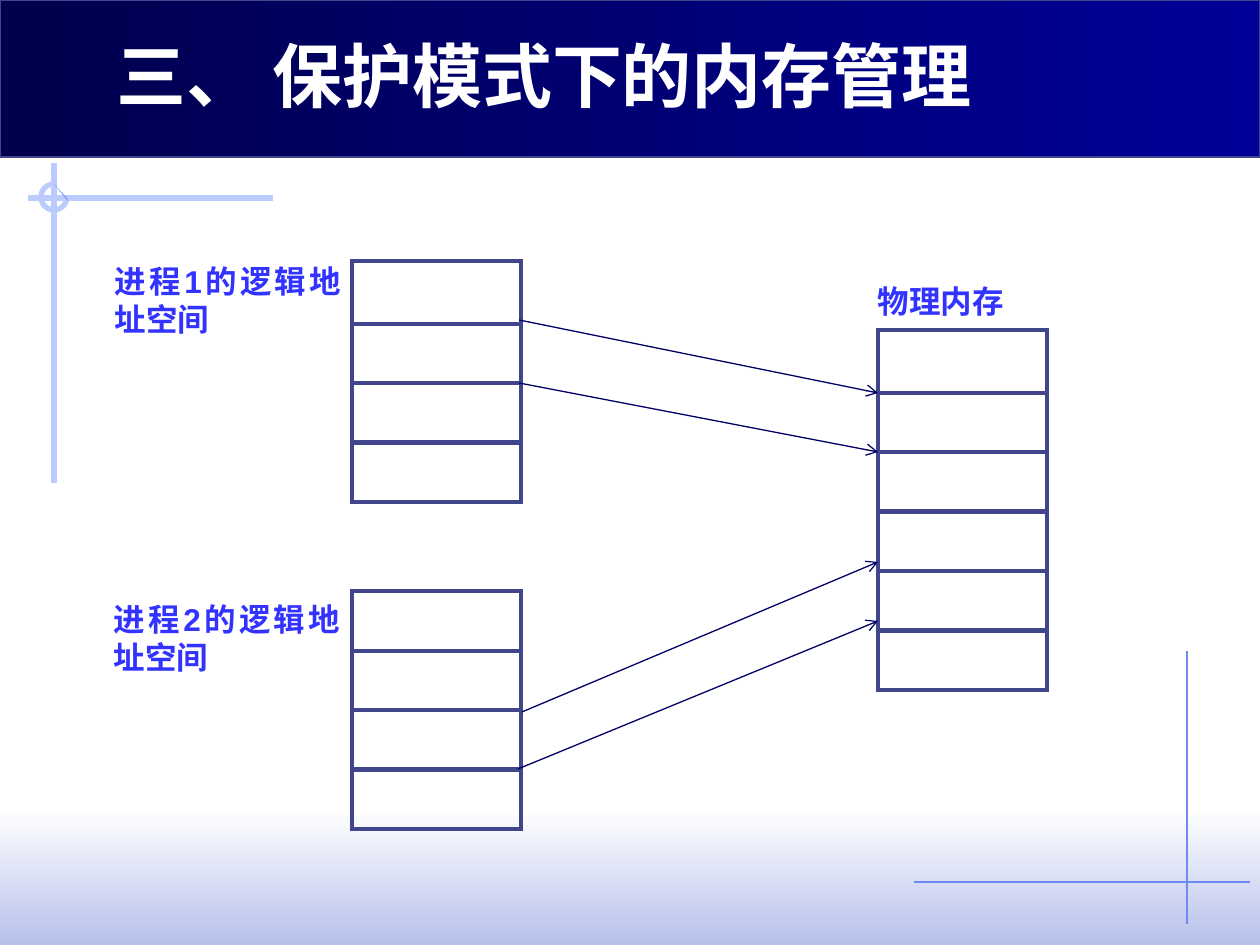
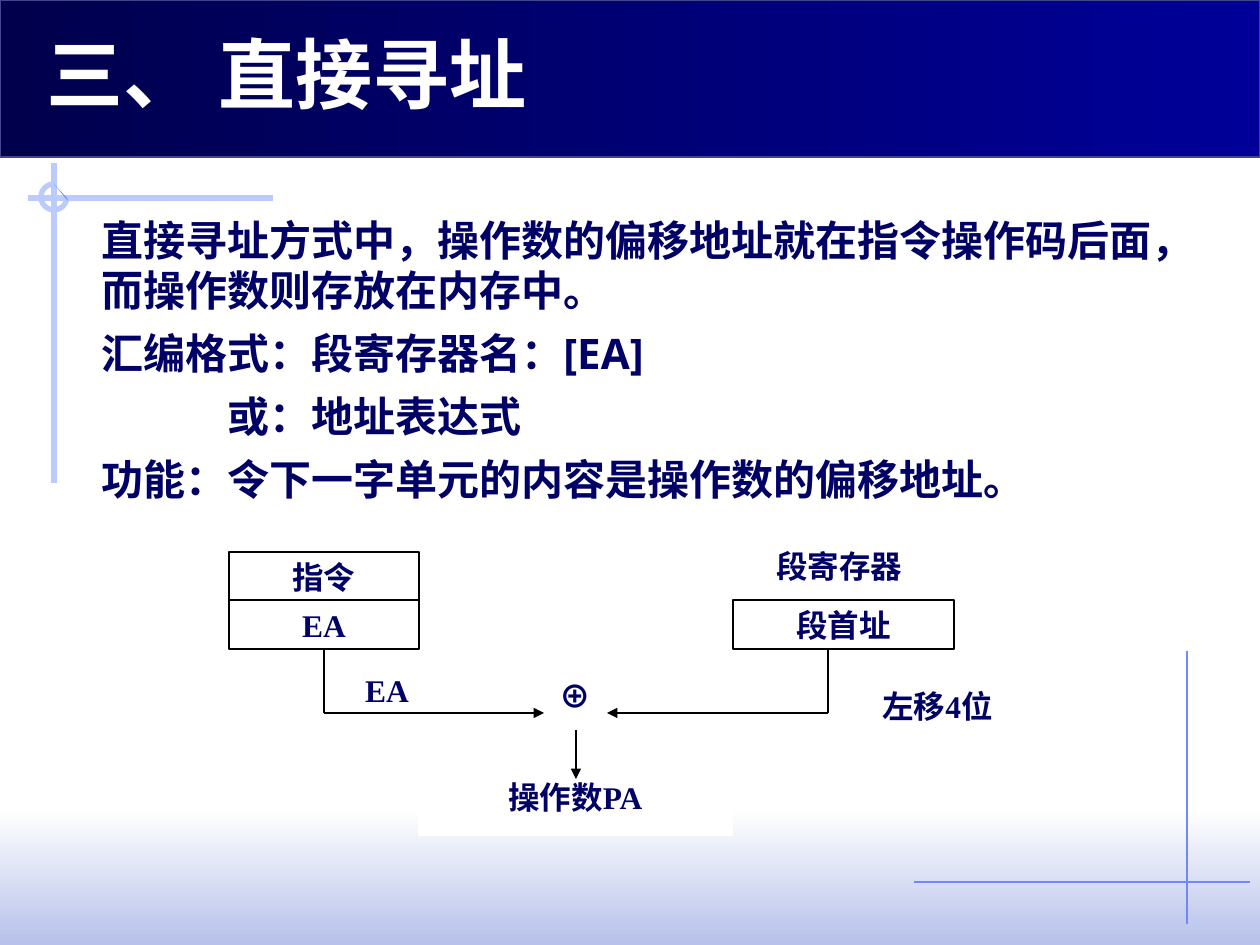
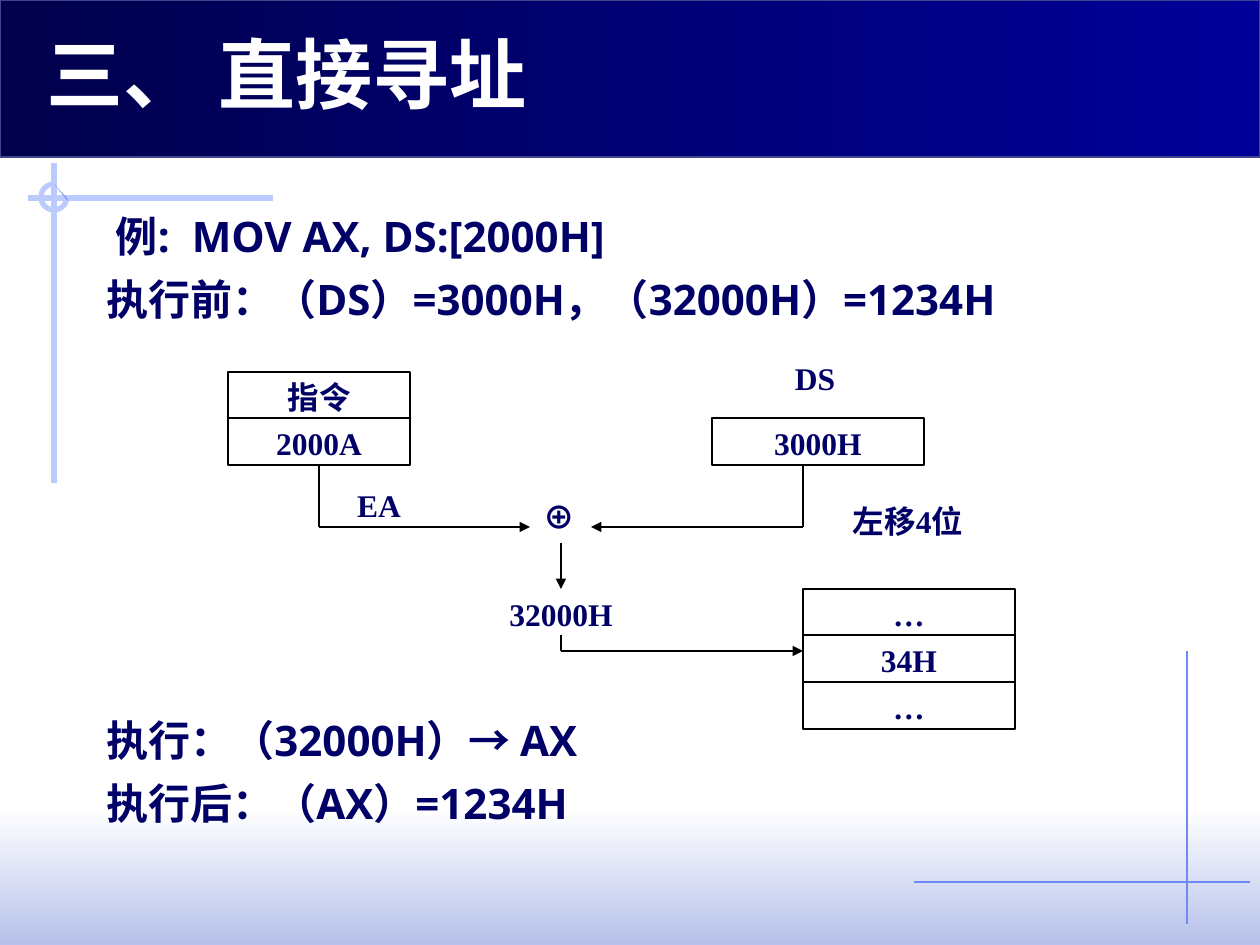
from lxml.etree import SubElement
from pptx import Presentation
from pptx.dml.color import RGBColor
from pptx.enum.shapes import MSO_CONNECTOR, MSO_SHAPE
from pptx.enum.text import MSO_ANCHOR, MSO_AUTO_SIZE, PP_ALIGN
from pptx.oxml.ns import qn
from pptx.util import Pt

PX = 7257  # EMU in one px, 126 px to the inch
WHITE = RGBColor(0xFF, 0xFF, 0xFF)
BLACK = RGBColor(0x00, 0x00, 0x00)
NAVY = RGBColor(0x00, 0x00, 0x66)
DARK = RGBColor(0x00, 0x00, 0x4D)
ROYAL = RGBColor(0x00, 0x00, 0x99)
BLUE = RGBColor(0x33, 0x33, 0xFF)
SLATE = RGBColor(0x40, 0x45, 0x8C)
SKY = RGBColor(0x6F, 0x89, 0xF7)
PALE = RGBColor(0xBB, 0xCB, 0xFD)
MIST = RGBColor(0xB7, 0xC1, 0xEB)
SERIF, SANS, ARIAL = "Times New Roman", "Noto Sans", "Arial"
HEAD, HAN = "Noto Sans CJK JP", "Noto Sans CJK SC"


def write(para, text, size, font, color, pitch, align=PP_ALIGN.LEFT):
    """Add one bold run; pitch is the line height in px."""
    para.alignment = align
    para.line_spacing = Pt(round(pitch * 72 / 126, 1))
    run = para.add_run()
    run.text = text
    run.font.size, run.font.bold, run.font.name = Pt(size), True, font
    run.font.color.rgb = color
    east = HEAD if font == HEAD else HAN
    SubElement(run.font._element, qn("a:ea"), typeface=east)


def draw(shapes, ends, color, width, head=None):
    """Add a straight line, with an arrowhead if one is named."""
    link = shapes.add_connector(MSO_CONNECTOR.STRAIGHT, *(n * PX for n in ends))
    link.line.color.rgb, link.line.width = color, Pt(width)
    props = link._element.spPr
    if head:
        SubElement(props.find(qn("a:ln")), qn("a:tailEnd"), type=head)
    SubElement(props, qn("a:effectLst"))
    return link


deck = Presentation()
deck.slide_width, deck.slide_height = 1260 * PX, 945 * PX

# Slides and titles: text, size, line height, box
titles = [
    ("三、 保护模式下的内存管理", 40, 84, (104, 26, 1002, 97)),
    ("三、 直接寻址", 44, 78, (34, 35, 934, 91)),
    ("三、 直接寻址", 44, 78, (34, 35, 934, 91)),
]
slides = []
for text, size, pitch, box in titles:
    slide = deck.slides.add_slide(deck.slide_layouts[5])
    title = slide.shapes.title
    title.left, title.top, title.width, title.height = (n * PX for n in box)
    frame = title.text_frame
    frame.auto_size = MSO_AUTO_SIZE.NONE
    frame.vertical_anchor = MSO_ANCHOR.TOP
    write(frame.paragraphs[0], text, size, HEAD, WHITE, pitch)
    slides.append(slide)

# Shared decoration, drawn once and moved to the master
shapes = slides[0].shapes
bands = [
    ((0, 809, 1260, 136), WHITE, MIST, 270, None),
    ((0, 0, 1260, 157), DARK, ROYAL, 0, SLATE),
]
for box, start, stop, angle, edge in bands:
    band = shapes.add_shape(MSO_SHAPE.RECTANGLE, *(n * PX for n in box))
    band.shadow.inherit = False
    band.fill.gradient()
    band.fill.gradient_angle = angle
    for mark, color in zip(band.fill.gradient_stops, (start, stop)):
        mark.color.rgb = color
    if edge:
        band.line.color.rgb, band.line.width = edge, Pt(0.75)
    else:
        band.line.fill.background()

for ends, color, width in [
    ((1187, 651, 1187, 924), SKY, 0.75),
    ((914, 882, 1250, 882), SKY, 0.75),
    ((273, 198, 28, 198), PALE, 3),
    ((54, 163, 54, 483), PALE, 3),
]:
    draw(shapes, ends, color, width)

ring = shapes.add_shape(MSO_SHAPE.ARC, 41 * PX, 184 * PX, 26 * PX, 26 * PX)
ring.shadow.inherit = False
ring.adjustments[0], ring.adjustments[1] = 0, 162
ring.fill.background()
ring.line.color.rgb, ring.line.width = PALE, Pt(3)

pen = shapes.build_freeform(67, 198, scale=PX)
pen.add_line_segments([(68, 201), (54, 184)], close=True)
chip = pen.convert_to_shape()
chip.shadow.inherit = False
chip.fill.solid()
chip.fill.fore_color.rgb = SKY
chip.line.fill.background()

tree = deck.slide_master.shapes.element
decor = [item for item in shapes if not item.is_placeholder]
for num, item in enumerate(decor, 100):
    item.element.xpath(".//p:cNvPr")[0].set("id", str(num))
    tree.append(item.element)

# Slide 1: memory columns, one table a block (left, top, first block, blocks)
for left, top, first, count in [
    (352, 261, 63, 4),
    (878, 330, 63, 6),
    (352, 591, 60, 4),
]:
    for num in range(count):
        start = top + first + (num - 1) * 119 // 2 if num else top
        high = 59 if num else first
        grid = shapes.add_table(
            1, 1, left * PX, start * PX, 169 * PX, high * PX).table
        grid.first_row = grid.horz_banding = False
        cell = grid.cell(0, 0)
        cell.margin_top = cell.margin_bottom = 0
        props = cell._tc.get_or_add_tcPr()
        for side in ("lnL", "lnR", "lnT", "lnB"):
            edge = SubElement(props, qn("a:" + side), w=str(Pt(2.25)))
            fill = SubElement(edge, qn("a:solidFill"))
            SubElement(fill, qn("a:srgbClr"), val=str(SLATE))
        cell.fill.background()

# Slide 1: labels
for text, box in [
    ("进程1的逻辑地址空间", (115, 262, 226, 112)),
    ("物理内存", (878, 282, 186, 40)),
    ("进程2的逻辑地址空间", (114, 600, 226, 112)),
]:
    frame = shapes.add_textbox(*(n * PX for n in box)).text_frame
    frame.word_wrap = True
    frame.margin_left = frame.margin_right = 0
    frame.margin_top = frame.margin_bottom = 0
    write(frame.paragraphs[0], text, 18, ARIAL, BLUE, 38, PP_ALIGN.JUSTIFY)

# Slide 1: mapping arrows
for ends in [
    (519, 320, 878, 393),
    (519, 383, 878, 452),
    (522, 712, 878, 562),
    (518, 769, 878, 621),
]:
    draw(shapes, ends, NAVY, 0.75, "arrow")

# Slides 2 and 3: body box, then paragraphs with the gap above each
bodies = [
    ((89, 208, 1086, 375), [
        ("直接寻址方式中，操作数的偏移地址就在指令操作码后面，而操作数则存放在内存中。", 0),
        ("汇编格式：段寄存器名：[EA]", 13),
        ("\t或：地址表达式", 13),
        ("功能：令下一字单元的内容是操作数的偏移地址。", 13),
    ]),
    ((94, 204, 1077, 658), [
        (" 例:  MOV AX, DS:[2000H]", 0),
        ("执行前：（DS）=3000H，（32000H）=1234H", 13),
        ("执行：（32000H）→ AX", 391),
        ("执行后：（AX）=1234H", 13),
    ]),
]

# Diagram boxes: text, place, framed or not
charts = [
    [
        ("指令", (229, 552, 190, 49), True),
        ("EA", (229, 600, 190, 49), True),
        ("段首址", (733, 600, 221, 49), True),
        ("段寄存器", (729, 541, 221, 49), False),
        ("EA", (292, 665, 190, 49), False),
        ("左移4位", (827, 681, 221, 49), False),
        ("⊕", (481, 671, 189, 66), False),
        ("操作数PA", (418, 772, 315, 64), False),
    ],
    [
        ("指令", (228, 372, 182, 47), True),
        ("2000A", (228, 418, 182, 47), True),
        ("3000H", (712, 418, 212, 47), True),
        ("DS", (709, 353, 212, 47), False),
        ("EA", (288, 480, 182, 47), False),
        ("左移4位", (802, 496, 212, 47), False),
        ("⊕", (533, 492, 53, 50), False),
        ("32000H", (410, 589, 302, 61), False),
        ("…", (803, 589, 212, 47), True),
        ("34H", (803, 635, 212, 47), True),
        ("…", (803, 682, 212, 47), True),
    ],
]

# Diagram lines: ends, arrowhead
wires = [
    [
        ((324, 649, 324, 713), None),
        ((324, 713, 544, 713), "triangle"),
        ((828, 649, 828, 713), None),
        ((828, 713, 607, 713), "triangle"),
        ((576, 730, 576, 779), "triangle"),
    ],
    [
        ((319, 465, 319, 527), None),
        ((319, 527, 530, 527), "triangle"),
        ((803, 465, 803, 527), None),
        ((803, 527, 591, 527), "triangle"),
        ((561, 543, 561, 589), "triangle"),
        ((561, 635, 561, 651), None),
        ((561, 651, 803, 651), "triangle"),
    ],
]

for slide, (place, lines), boxes, links in zip(slides[1:], bodies, charts, wires):
    shapes = slide.shapes

    # Body text, with a tab stop at one inch
    frame = shapes.add_textbox(*(n * PX for n in place)).text_frame
    frame.word_wrap = True
    frame.margin_top = 7 * PX
    for num, (text, gap) in enumerate(lines):
        para = frame.add_paragraph() if num else frame.paragraphs[0]
        write(para, text, 24, SANS, NAVY, 50)
        para.space_before = gap * PX
        props = para._p.get_or_add_pPr()
        props.set("hangingPunct", "1")
        if text.startswith("\t"):
            stops = SubElement(props, qn("a:tabLst"))
            SubElement(stops, qn("a:tab"), pos=str(126 * PX), algn="l")

    # Boxes, noting the middle of each top and bottom side
    tops, feet = {}, {}
    for text, (left, top, wide, high), framed in boxes:
        box = shapes.add_shape(
            MSO_SHAPE.RECTANGLE, left * PX, top * PX, wide * PX, high * PX)
        box.shadow.inherit = False
        box.fill.solid()
        box.fill.fore_color.rgb = WHITE
        if framed:
            box.line.color.rgb, box.line.width = BLACK, Pt(0.75)
        else:
            box.line.fill.background()
        frame = box.text_frame
        frame.vertical_anchor = MSO_ANCHOR.TOP
        frame.margin_left = frame.margin_right = 0
        font = HAN if text == "⊕" else SERIF
        write(frame.paragraphs[0], text, 18, font, NAVY, 38, PP_ALIGN.CENTER)
        tops[left + wide // 2, top] = box
        feet[left + wide // 2, top + high] = box

    # Lines, joined where they meet such a middle
    for ends, head in links:
        link = draw(shapes, ends, BLACK, 0.75, head)
        if ends[:2] in feet:
            link.begin_connect(feet[ends[:2]], 2)
        if ends[2:] in tops:
            link.end_connect(tops[ends[2:]], 0)

deck.save("out.pptx")
